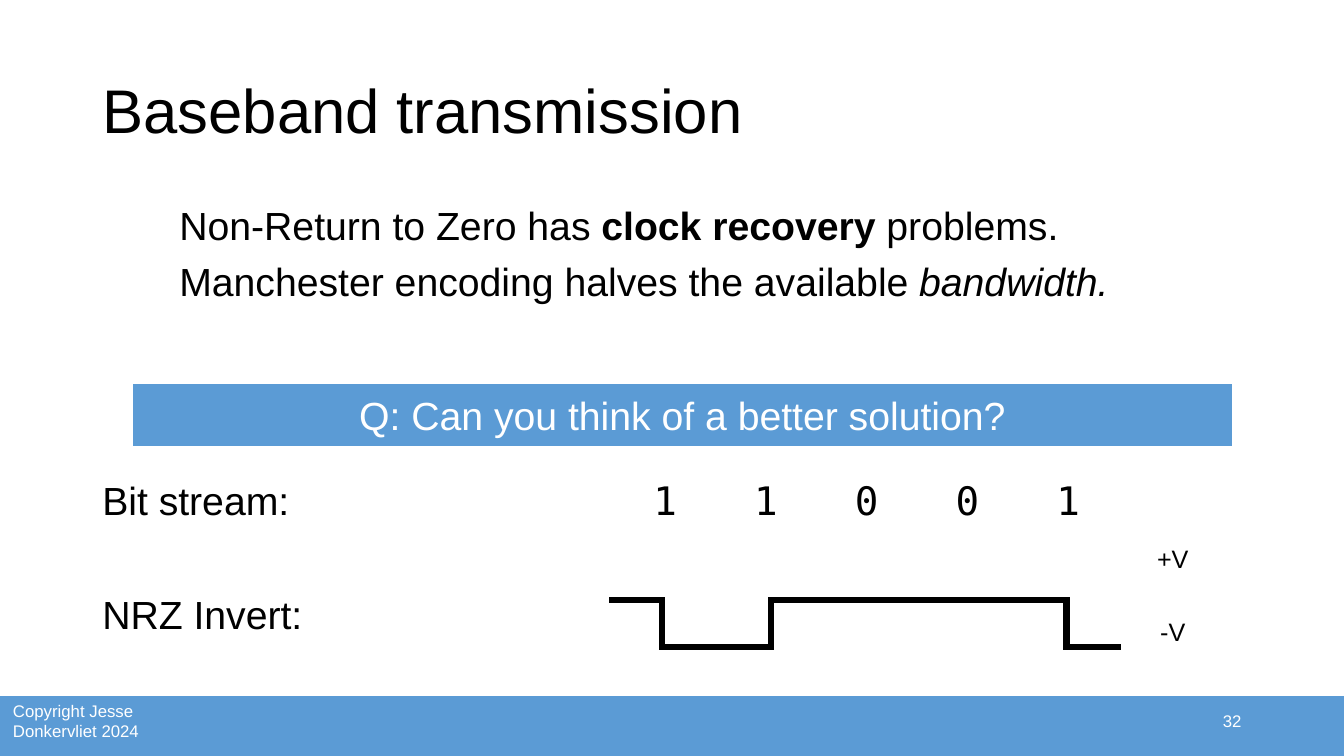
from dataclasses import dataclass
from itertools import pairwise

from lxml.etree import SubElement
from pptx import Presentation
from pptx.dml.color import RGBColor
from pptx.enum.shapes import MSO_CONNECTOR as Connector, MSO_SHAPE as Shape
from pptx.enum.text import MSO_ANCHOR as Anchor, MSO_AUTO_SIZE as AutoSize, PP_ALIGN as Align
from pptx.oxml.ns import qn
from pptx.util import Pt


@dataclass(frozen=True)
class Theme:
    black: RGBColor = RGBColor(0x00, 0x00, 0x00)
    white: RGBColor = RGBColor(0xFF, 0xFF, 0xFF)
    blue: RGBColor = RGBColor(0x5B, 0x9B, 0xD5)
    font: str = "Arial"
    mono: str = "DejaVu Sans Mono"
    title: int = 44
    body: int = 28
    label: int = 18
    footer: int = 12
    outline: float = 1.5
    signal: float = 4.5


THEME = Theme()
BITS = "11001"
CONTENT_LEFT, CONTENT_WIDTH = 66, 828
INSET = 7.2
FIRST_BIT, BIT_GAP = 475.2, 72
HIGH, LOW = 428.4, 462.3
SIGNAL_START, SIGNAL_END = 437, 798.5
EDGES = (473, 550.8, 761.8)


def write(shape, *paragraphs, size=THEME.body, color=THEME.black, align=Align.LEFT,
          anchor=Anchor.TOP, spacing=1.0, before=(0,)):
    frame = shape.text_frame
    frame.word_wrap = True
    frame.auto_size = AutoSize.NONE
    frame.vertical_anchor = anchor
    for index, runs in enumerate(paragraphs):
        paragraph = frame.add_paragraph() if index else frame.paragraphs[0]
        paragraph.alignment = align
        paragraph.line_spacing = spacing
        paragraph.space_before = Pt(before[min(index, len(before) - 1)])
        for text, style in runs:
            run = paragraph.add_run()
            run.text = text
            run.font.size = Pt(size)
            run.font.color.rgb = color
            run.font.name = style.get("font", THEME.font)
            run.font.bold = style.get("bold", False)
            run.font.italic = style.get("italic", False)


def plain(text):
    return [(text, {})]


def add_text_box(slide, box, *paragraphs, **style):
    shape = slide.shapes.add_textbox(*map(Pt, box))
    write(shape, *paragraphs, **style)
    return shape


def add_bar(slide, box, fill, outline=None):
    shape = slide.shapes.add_shape(Shape.RECTANGLE, *map(Pt, box))
    shape.shadow.inherit = False
    shape.fill.solid()
    shape.fill.fore_color.rgb = fill
    if outline is None:
        shape.line.fill.background()
    else:
        shape.line.color.rgb = outline
        shape.line.width = Pt(THEME.outline)
    return shape


def set_title(slide, text):
    title = slide.shapes.title
    title.left, title.top, title.width, title.height = map(
        Pt, (CONTENT_LEFT, 28.8, CONTENT_WIDTH, 104.4))
    write(title, plain(text), size=THEME.title, anchor=Anchor.MIDDLE, spacing=0.9)


def add_footer(slide):
    add_bar(slide, (-22.3, 496.1, 1004.4, 58.3), THEME.blue, THEME.white)
    style = dict(size=THEME.footer, color=THEME.white, anchor=Anchor.MIDDLE)
    add_text_box(slide, (2.2, 498.2, 105.8, 33.8),
                 plain("Copyright Jesse Donkervliet 2024"), **style)
    add_text_box(slide, (678, 500.4, 216, 28.8), plain("32"), align=Align.RIGHT, **style)


def add_bit_stream(slide):
    bits = "".join(f"\t{bit}" for bit in BITS)
    shape = add_text_box(
        slide, (CONTENT_LEFT, 340.6, CONTENT_WIDTH, 146.2),
        [("Bit stream:", {}), (bits, {"font": THEME.mono})],
        plain("NRZ Invert:"), spacing=0.9, before=(10, 51))
    properties = shape.text_frame.paragraphs[0]._p.get_or_add_pPr()
    tabs = SubElement(properties, qn("a:tabLst"))
    for index in range(len(BITS)):
        position = FIRST_BIT + index * BIT_GAP - CONTENT_LEFT - INSET
        SubElement(tabs, qn("a:tab"), pos=str(int(Pt(position))), algn="ctr")


def add_signal_line(slide, start, end):
    line = slide.shapes.add_connector(Connector.STRAIGHT, *map(Pt, (*start, *end)))
    line.line.color.rgb = THEME.black
    line.line.width = Pt(THEME.signal)
    properties = line._element.spPr
    properties.find(qn("a:ln")).set("cap", "sq")
    SubElement(properties, qn("a:effectLst"))


def add_signal(slide):
    level, other = HIGH, LOW
    corners = [(SIGNAL_START, level)]
    for edge in EDGES:
        corners += [(edge, level), (edge, other)]
        level, other = other, level
    corners.append((SIGNAL_END, level))
    for start, end in pairwise(corners):
        add_signal_line(slide, start, end)


def add_voltage_label(slide, top, text):
    label = add_bar(slide, (817.9, top, 39.6, 28.8), THEME.white)
    write(label, plain(text), size=THEME.label, align=Align.CENTER, anchor=Anchor.MIDDLE)


def main():
    presentation = Presentation()
    presentation.slide_width, presentation.slide_height = Pt(960), Pt(540)
    slide = presentation.slides.add_slide(presentation.slide_layouts[5])

    add_footer(slide)
    set_title(slide, "Baseband transmission")
    add_text_box(
        slide, (121, 144, 687.6, 115),
        [("Non-Return to Zero has ", {}), ("clock recovery ", {"bold": True}), ("problems.", {})],
        [("Manchester encoding halves the available", {}), (" bandwidth.", {"italic": True})],
        spacing=0.9, before=(10,))
    question = add_bar(slide, (94.3, 273.6, 786.2, 46.1), THEME.blue, THEME.white)
    write(question, plain("Q: Can you think of a better solution?"),
          color=THEME.white, align=Align.CENTER, anchor=Anchor.MIDDLE)
    add_bit_stream(slide)
    add_voltage_label(slide, 384.5, "+V")
    add_voltage_label(slide, 437, "-V")
    add_signal(slide)

    presentation.save("out.pptx")


if __name__ == "__main__":
    main()
